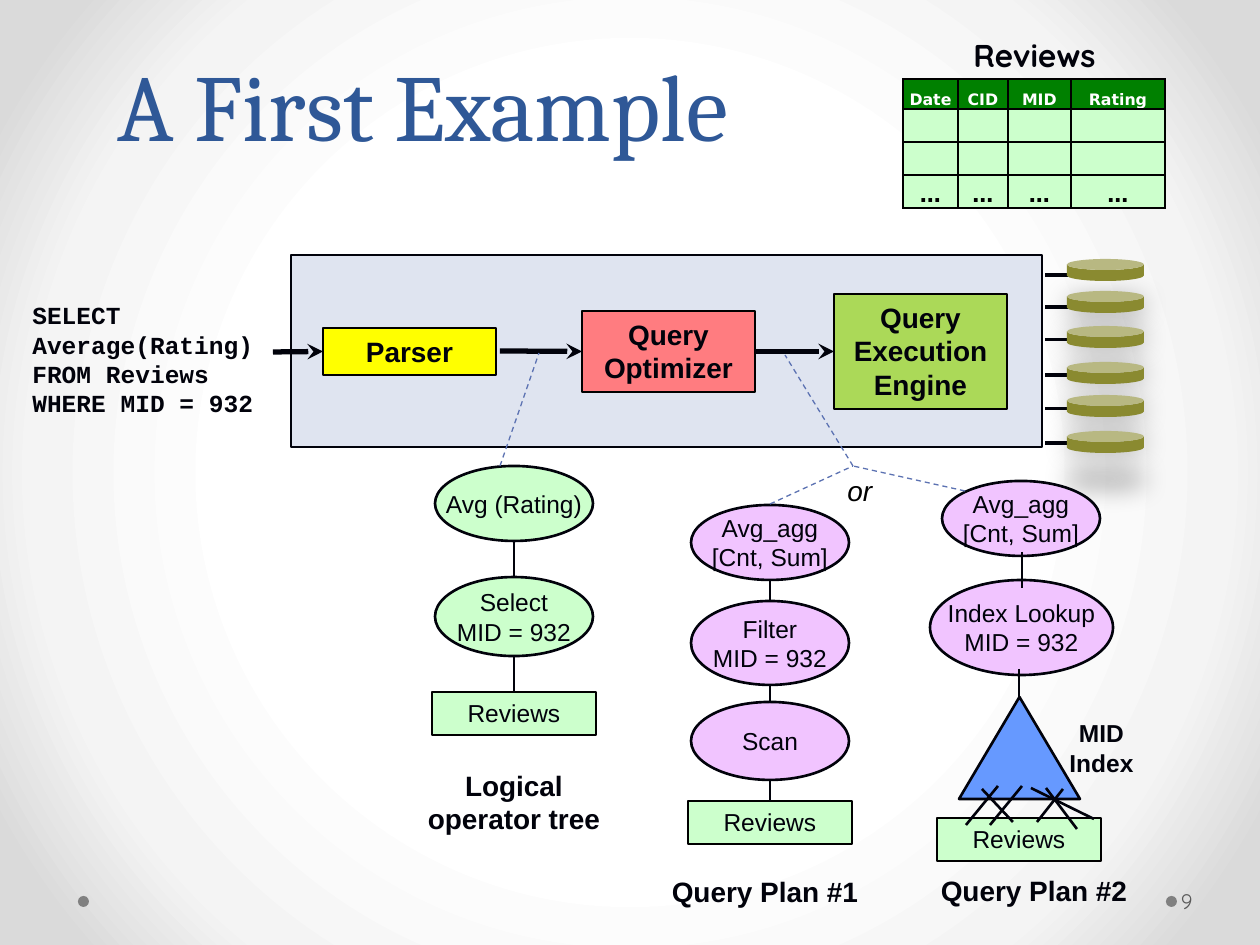
import copy
from dataclasses import dataclass
from itertools import pairwise
from typing import Any, Optional

import lxml.etree
import pptx
import pptx.dml.color
import pptx.enum.dml
import pptx.enum.shapes
import pptx.enum.text
import pptx.oxml
import pptx.oxml.ns
import pptx.util

SHAPE = pptx.enum.shapes.MSO_SHAPE
ALIGN = pptx.enum.text.PP_ALIGN
ANCHOR = pptx.enum.text.MSO_ANCHOR
qn = pptx.oxml.ns.qn
INK, BLACK, GREEN, VIOLET = "01020B", "000000", "CCFFCC", "F1C4FF"
TOP, LEFT, RIGHT = 0, 1, 3


@dataclass(frozen=True)
class Box:
    x: int
    y: int
    width: int
    height: int
    text: str = ""
    fill: Optional[str] = None
    kind: Any = SHAPE.OVAL
    line: Optional[str] = INK

    @property
    def center(self) -> int:
        return self.x + self.width // 2


def px(value: float) -> int:
    return round(value * 914400 / 126)


def color(value: str) -> pptx.dml.color.RGBColor:
    return pptx.dml.color.RGBColor.from_string(value)


def place(shape, box: Box) -> None:
    shape.left, shape.top = px(box.x), px(box.y)
    shape.width, shape.height = px(box.width), px(box.height)


def write(frame, text: str, *, size: int = 14, font: str = "Arial", ink: str = INK,
          bold: bool = False, italic: bool = False, align=ALIGN.CENTER,
          anchor=ANCHOR.TOP, wrap: bool = True) -> None:
    """Newlines part paragraphs; vertical tabs are line breaks."""
    frame.word_wrap, frame.vertical_anchor = wrap, anchor
    for index, content in enumerate(text.split("\n")):
        paragraph = frame.add_paragraph() if index else frame.paragraphs[0]
        paragraph.text = content
        paragraph.alignment = align
        for run in paragraph.runs:
            run.font.name, run.font.size = font, pptx.util.Pt(size)
            run.font.bold, run.font.italic = bold, italic
            run.font.color.rgb = color(ink)
        for line_break in paragraph._p.findall(qn("a:br")):
            line_break.append(copy.deepcopy(paragraph.runs[0]._r.rPr))


def add_box(slide, box: Box, line_width: float = 1.5, **text_format):
    shape = slide.shapes.add_shape(box.kind, 0, 0, 0, 0)
    place(shape, box)
    shape.shadow.inherit = False
    shape.fill.solid()
    shape.fill.fore_color.rgb = color(box.fill)
    if box.line:
        shape.line.color.rgb = color(box.line)
        shape.line.width = pptx.util.Pt(line_width)
    else:
        shape.line.fill.background()
    if box.text:
        write(shape.text_frame, box.text, **text_format)
    return shape


def add_label(slide, box: Box, **text_format):
    label = slide.shapes.add_textbox(0, 0, 0, 0)
    place(label, box)
    write(label.text_frame, box.text, **text_format)
    return label


def add_line(slide, x1: int, y1: int, x2: int, y2: int, *, ink: str = INK, width: float = 1.5,
             arrow: bool = False, dashed: bool = False, start=None, end=None) -> None:
    """start and end are (shape, connection site) pairs."""
    line = slide.shapes.add_connector(pptx.enum.shapes.MSO_CONNECTOR.STRAIGHT,
                                      px(x1), px(y1), px(x2), px(y2))
    if start:
        line.begin_connect(*start)
    if end:
        line.end_connect(*end)
    line.line.color.rgb = color(ink)
    line.line.width = pptx.util.Pt(width)
    if dashed:
        line.line.dash_style = pptx.enum.dml.MSO_LINE.DASH
    properties = line._element.spPr
    if arrow:
        lxml.etree.SubElement(properties.find(qn("a:ln")), qn("a:tailEnd"), type="stealth")
    lxml.etree.SubElement(properties, qn("a:effectLst"))


def add_node(slide, box: Box):
    oval = box.kind == SHAPE.OVAL
    return add_box(slide, box, anchor=ANCHOR.MIDDLE if oval else ANCHOR.TOP, wrap=not oval)


def add_tree(slide, nodes: list[Box]) -> None:
    """Draws the nodes from top to bottom and links each to the next."""
    shapes = [add_node(slide, node) for node in nodes]
    for (upper, lower), shape in zip(pairwise(nodes), shapes[1:]):
        end = (shape, TOP) if lower.kind == SHAPE.RECTANGLE else None
        add_line(slide, upper.center, upper.y + upper.height, upper.center, lower.y, end=end)


def reviews_box(x: int, y: int) -> Box:
    return Box(x, y, 164, 43, "Reviews", GREEN, SHAPE.RECTANGLE, BLACK)


def set_background(slide) -> None:
    stops = "".join(f'<a:gs pos="{position}000"><a:srgbClr val="{value}"/></a:gs>'
                    for position, value in ((50, "FFFFFF"), (76, "F4F4F4"), (92, "DADADA")))
    background = pptx.oxml.parse_xml(
        f'<p:bg {pptx.oxml.ns.nsdecls("p", "a")}><p:bgPr><a:gradFill rotWithShape="1">'
        f'<a:gsLst>{stops}</a:gsLst><a:path path="circle"><a:fillToRect l="50000" t="50000" '
        'r="50000" b="50000"/></a:path></a:gradFill><a:effectLst/></p:bgPr></p:bg>')
    slide._element.cSld.insert(0, background)


def add_disk(slide, y: int) -> None:
    disk = add_box(slide, Box(1067, y, 77, 22, fill="8A8A30", kind=SHAPE.CAN, line=None))
    disk.adjustments[0] = 0.5
    shadow = lxml.etree.SubElement(disk._element.spPr.find(qn("a:effectLst")), qn("a:outerShdw"),
                                   blurRad="190500", dist="266700", dir="5400000")
    shade = lxml.etree.SubElement(shadow, qn("a:srgbClr"), val=BLACK)
    lxml.etree.SubElement(shade, qn("a:alpha"), val="27000")


def add_reviews_table(slide) -> None:
    widths, heights = (55, 50, 63, 94), (30, 33, 33, 33)
    rows = [("Date", "CID", "MID", "Rating"), ("",) * 4, ("",) * 4, ("…",) * 4]
    table = slide.shapes.add_table(4, 4, px(903), px(79), px(sum(widths)), px(sum(heights))).table
    for column, width in zip(table.columns, widths):
        column.width = px(width)
    for row_index, (texts, height) in enumerate(zip(rows, heights)):
        table.rows[row_index].height = px(height)
        header = row_index == 0
        for column_index, text in enumerate(texts):
            cell = table.cell(row_index, column_index)
            cell.margin_left = cell.margin_right = cell.margin_top = px(1)
            cell.margin_bottom = 0
            cell.vertical_anchor = ANCHOR.BOTTOM
            for side in ("lnL", "lnR", "lnT", "lnB"):
                border = lxml.etree.SubElement(cell._tc.tcPr, qn(f"a:{side}"), w="12700")
                fill = lxml.etree.SubElement(border, qn("a:solidFill"))
                lxml.etree.SubElement(fill, qn("a:srgbClr"), val=BLACK)
            cell.fill.solid()
            cell.fill.fore_color.rgb = color("008000" if header else GREEN)
            if text:
                write(cell.text_frame, text, size=9 if header else 12, font="DejaVu Sans",
                      ink="FFFFFF" if header else BLACK, bold=True, anchor=ANCHOR.BOTTOM)
            else:
                lxml.etree.SubElement(cell.text_frame.paragraphs[0]._p, qn("a:endParaRPr"), sz="900")


def add_pipeline(slide) -> None:
    add_box(slide, Box(291, 255, 751, 192, fill="DFE4F0", kind=SHAPE.RECTANGLE), 1)
    engine, optimizer, parser = (
        add_box(slide, Box(*stage, SHAPE.RECTANGLE, BLACK), size=16, bold=True) for stage in (
            (834, 294, 173, 115, "Query Execution Engine", "ABD958"),
            (582, 311, 173, 81, "Query Optimizer", "FF7C80"),
            (323, 328, 173, 47, "Parser", "FFFF00")))
    for y in (275, 307, 340, 375, 409, 443):
        add_line(slide, 1072, y, 1045, y, width=1.75)
    for y in (259, 291, 326, 362, 395, 431):
        add_disk(slide, y)
    add_line(slide, 500, 351, 582, 351, width=3, arrow=True, end=(optimizer, LEFT))
    add_line(slide, 755, 351, 834, 351, width=3, arrow=True,
             start=(optimizer, RIGHT), end=(engine, LEFT))
    add_line(slide, 273, 352, 323, 352, width=3, arrow=True, end=(parser, LEFT))
    add_label(slide, Box(20, 294, 275, 161,
                         "SELECT\vAverage(Rating)\nFROM Reviews\vWHERE MID = 932"),
              font="Courier New", bold=True, align=ALIGN.LEFT)


def add_index_plan(slide) -> None:
    add_node(slide, Box(942, 481, 158, 75, "Avg_agg\v[Cnt, Sum]", VIOLET))
    add_node(slide, Box(930, 580, 183, 95, "Index Lookup\vMID = 932", VIOLET))
    add_line(slide, 1022, 552, 1022, 588)
    add_line(slide, 1019, 669, 1019, 704)
    add_box(slide, Box(959, 697, 121, 102, fill="6699FF", kind=SHAPE.ISOSCELES_TRIANGLE))
    add_label(slide, Box(1054, 712, 95, 72, "MID Index"), bold=True)
    add_node(slide, reviews_box(937, 818))
    for pointer in ((982, 789, 1013, 822), (998, 786, 966, 825), (1022, 786, 990, 825),
                    (1046, 788, 1077, 829), (1063, 789, 1037, 822), (1031, 788, 1094, 819)):
        add_line(slide, *pointer)


def main() -> None:
    presentation = pptx.Presentation()
    presentation.slide_width, presentation.slide_height = px(1260), px(945)
    slide = presentation.slides.add_slide(presentation.slide_layouts[5])
    set_background(slide)

    title = slide.shapes.title
    place(title, Box(34, 10, 777, 157))
    write(title.text_frame, "A First Example", size=54, font="Cambria", ink="2F5897",
          anchor=ANCHOR.BOTTOM)
    title.text_frame.auto_size = pptx.enum.text.MSO_AUTO_SIZE.NONE
    title.text_frame.paragraphs[0].line_spacing = pptx.util.Pt(58)
    for x in (1166, 78):
        add_box(slide, Box(x, 896, 11, 11, fill="808080", line=None))
    number = add_label(slide, Box(1177, 876, 77, 50, "9"), size=12, font="Quicksand",
                       ink="595959", align=ALIGN.LEFT, anchor=ANCHOR.MIDDLE)
    number.text_frame.margin_left = px(4)

    add_pipeline(slide)
    add_label(slide, Box(961, 30, 150, 50, "Reviews"), size=18, font="Quicksand",
              bold=True, align=ALIGN.LEFT, wrap=False)
    add_reviews_table(slide)

    add_tree(slide, [Box(435, 466, 158, 75, "Avg (Rating)", GREEN),
                     Box(435, 577, 158, 79, "Select\vMID = 932", GREEN),
                     reviews_box(432, 692)])
    add_tree(slide, [Box(691, 505, 158, 75, "Avg_agg\v[Cnt, Sum]", VIOLET),
                     Box(691, 601, 158, 84, "Filter\vMID = 932", VIOLET),
                     Box(691, 702, 158, 78, "Scan", VIOLET),
                     reviews_box(688, 801)])
    add_index_plan(slide)
    for caption in (Box(412, 762, 204, 81, "Logical operator tree"),
                    Box(638, 868, 254, 47, "Query Plan #1"),
                    Box(910, 867, 248, 47, "Query Plan #2")):
        add_label(slide, caption, size=16, bold=True)

    for guide in ((500, 466, 539, 353), (853, 466, 785, 355),
                  (770, 504, 853, 466), (965, 491, 853, 466)):
        add_line(slide, *guide, ink="5C72B2", width=0.75, dashed=True)
    add_label(slide, Box(835, 467, 50, 47, "or"), size=16, ink=BLACK, italic=True,
              align=ALIGN.LEFT, wrap=False)
    presentation.save("out.pptx")


if __name__ == "__main__":
    main()
